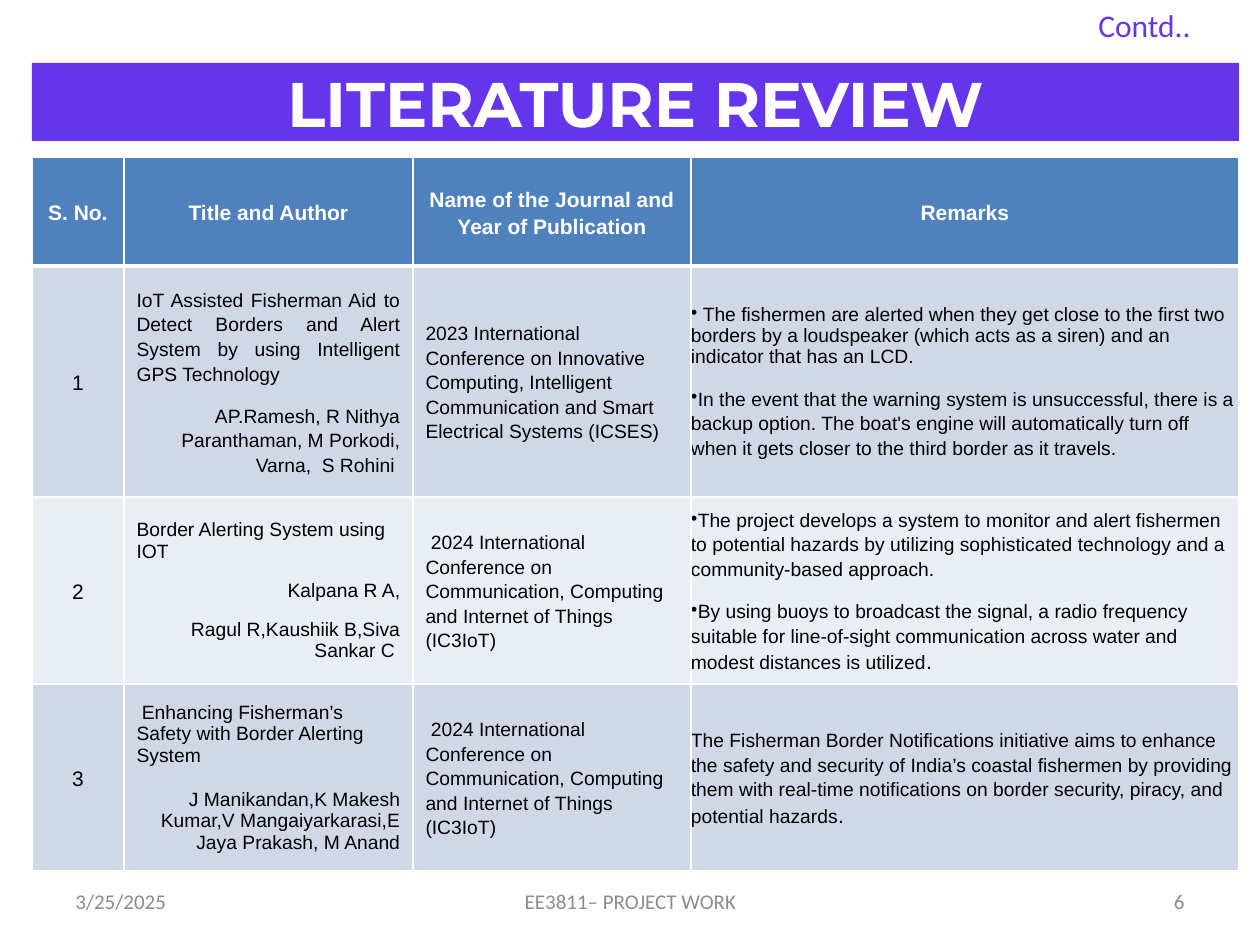
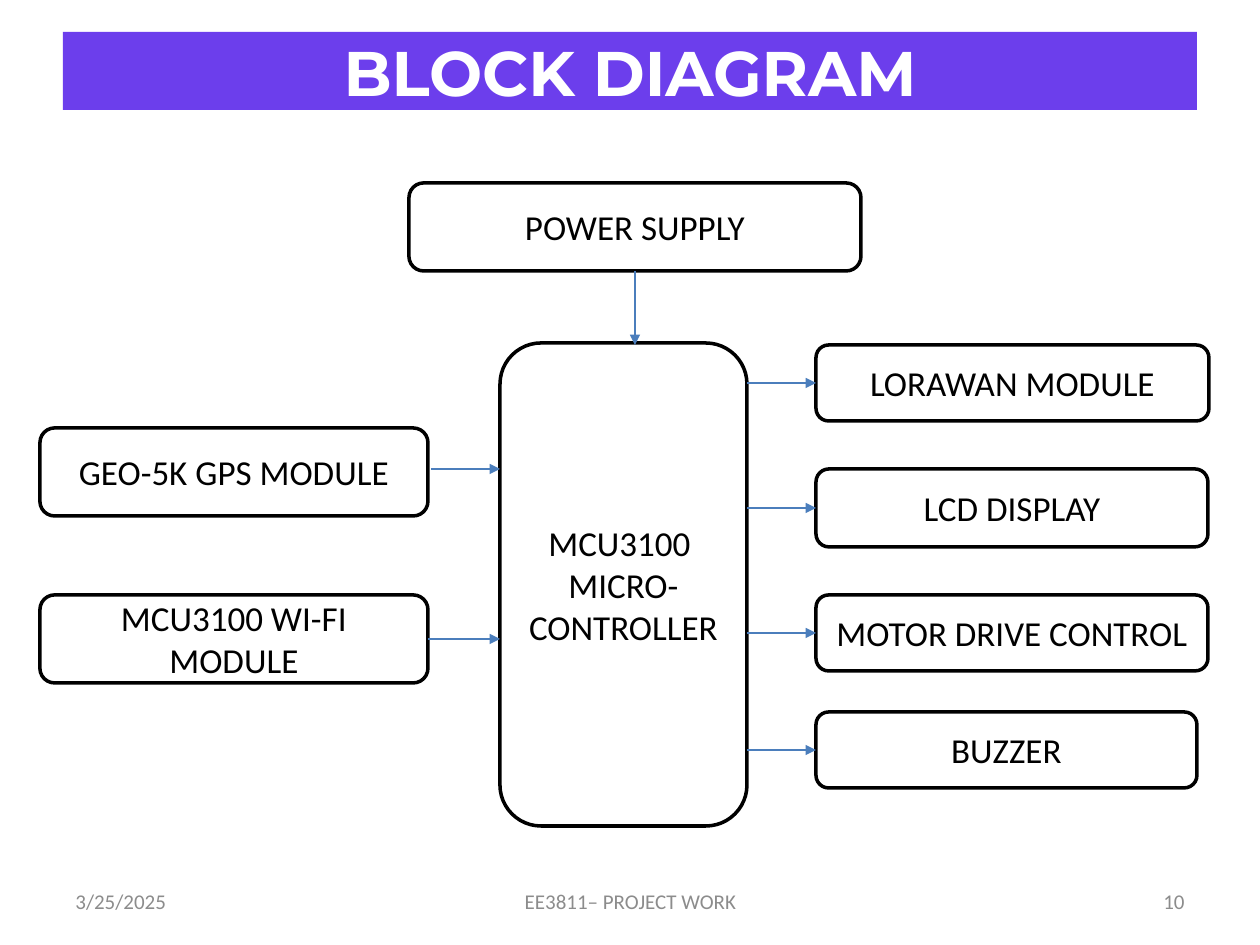
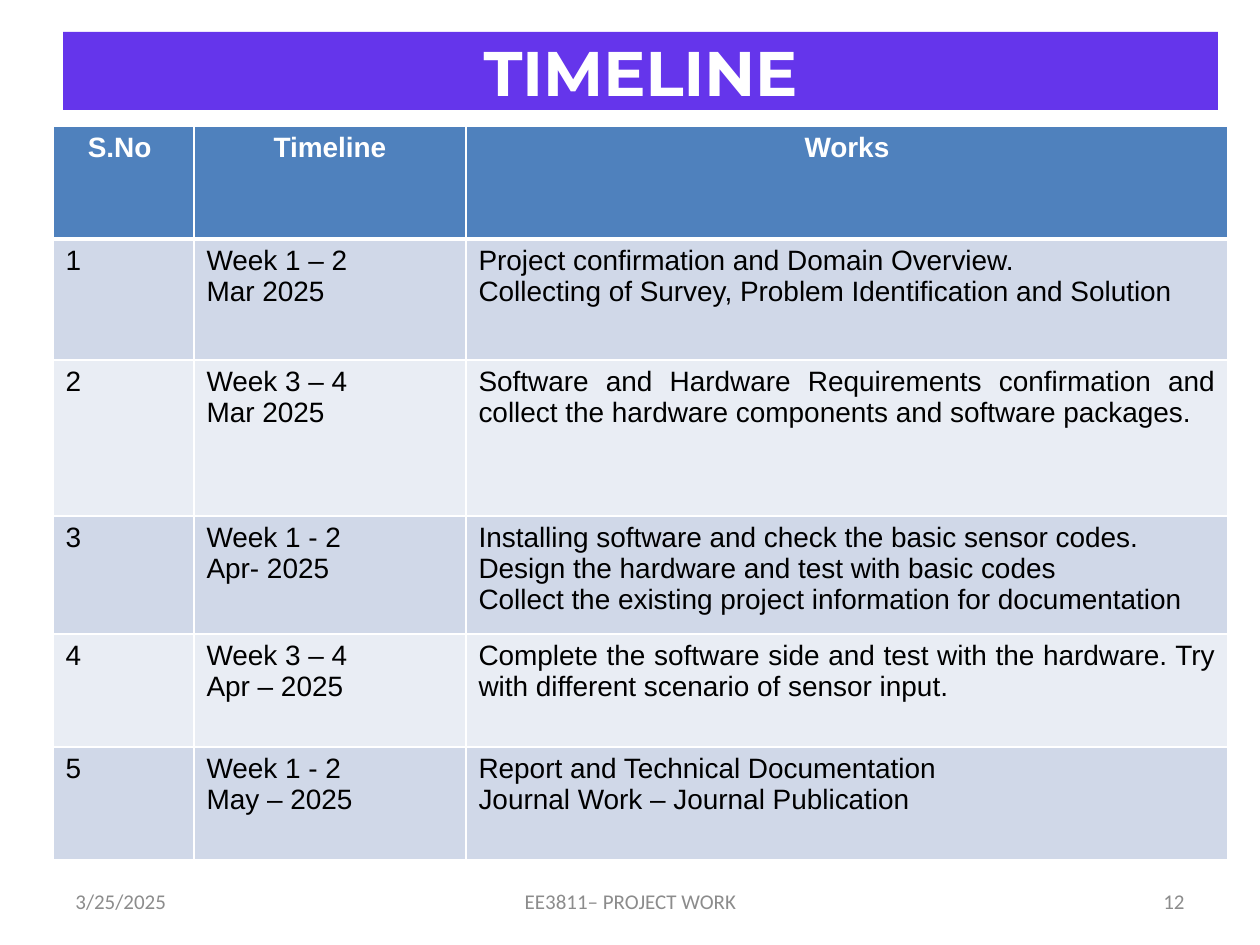
from pptx import Presentation
from pptx.dml.color import RGBColor
from pptx.enum.shapes import MSO_CONNECTOR, MSO_SHAPE
from pptx.enum.text import MSO_ANCHOR, PP_ALIGN
from pptx.oxml.ns import qn
from pptx.util import Pt
from lxml import etree

PX = 914400 / 126
LEFT, CENTER = PP_ALIGN.LEFT, PP_ALIGN.CENTER
RIGHT, JUSTIFY = PP_ALIGN.RIGHT, PP_ALIGN.JUSTIFY
TOP, MIDDLE = MSO_ANCHOR.TOP, MSO_ANCHOR.MIDDLE
RECTANGLE, ROUNDED = MSO_SHAPE.RECTANGLE, MSO_SHAPE.ROUNDED_RECTANGLE
STRAIGHT = MSO_CONNECTOR.STRAIGHT
SIDE_LEFT, SIDE_BOTTOM, SIDE_RIGHT = 1, 2, 3

COLORS = {
    "violet": "6535EB",
    "light violet": "6C3EEC",
    "white": "FFFFFF",
    "black": "000000",
    "grey": "8C8C8C",
    "header": "4F81BD",
    "odd row": "D0D8E8",
    "even row": "E9EDF4",
    "arrow": "4B7EBC",
}

AUTHORS = {"align": RIGHT}
CLOSE = {"line_spacing": None}
BULLET = {"bullet": True}

PAPERS = [
    ["S. No.", "Title and Author", "Name of the Journal and Year of Publication", "Remarks"],
    ["1",
     [("IoT Assisted Fisherman Aid to Detect Borders and Alert System by using "
       "Intelligent GPS Technology", {"align": JUSTIFY}),
      ("AP.Ramesh, R Nithya Paranthaman, M Porkodi, Varna,  S Rohini ", AUTHORS)],
     "2023 International Conference on Innovative Computing, Intelligent Communication "
     "and Smart Electrical Systems (ICSES)",
     [(" The fishermen are alerted when they get close to the first two borders by a "
       "loudspeaker (which acts as a siren) and an indicator that has an LCD.",
       BULLET | CLOSE),
      ("In the event that the warning system is unsuccessful, there is a backup option. "
       "The boat's engine will automatically turn off when it gets closer to the third "
       "border as it travels.", BULLET)]],
    ["2",
     [("Border Alerting System using IOT", CLOSE),
      ("Kalpana R A,", AUTHORS | CLOSE),
      ("Ragul R,Kaushiik B,Siva Sankar C ", AUTHORS | CLOSE)],
     " 2024 International Conference on Communication, Computing and Internet of Things "
     "(IC3IoT)",
     [("The project develops a system to monitor and alert fishermen to potential hazards "
       "by utilizing sophisticated technology and a community-based approach.", BULLET),
      ([("By using buoys to broadcast the signal, a radio frequency suitable for "
         "line-of-sight communication across water and modest distances is utilized", 11),
        (". ", 12)], BULLET)]],
    ["3",
     [(" Enhancing Fisherman’s Safety with Border Alerting System",
       CLOSE | {"space_after": 13}),
      ("J Manikandan,K Makesh Kumar,V Mangaiyarkarasi,E Jaya Prakash, M Anand",
       AUTHORS | CLOSE | {"space_after": 0})],
     " 2024 International Conference on Communication, Computing and Internet of Things "
     "(IC3IoT)",
     [([("The Fisherman Border Notifications initiative aims to enhance the safety and "
         "security of India’s coastal fishermen by providing them with real-time "
         "notifications on border security, piracy, and potential hazards", 11),
        (".", 12)], {})]],
]

SCHEDULE = [
    ["S.No ", "Timeline", "Works"],
    ["1", ["Week 1 – 2 ", "Mar 2025"],
     ["Project confirmation and Domain Overview. ",
      "Collecting of Survey, Problem Identification and Solution"]],
    ["2", ["Week 3 – 4 ", "Mar 2025"],
     "Software and Hardware Requirements confirmation and collect the hardware components "
     "and software packages."],
    ["3", ["Week 1 - 2", "Apr- 2025"],
     ["Installing software and check the basic sensor codes.",
      "Design the hardware and test with basic codes",
      "Collect the existing project information for documentation"]],
    ["4", ["Week 3 – 4 ", "Apr – 2025"],
     "Complete the software side and test with the hardware. Try with different scenario "
     "of sensor input."],
    ["5", ["Week 1 - 2", "May – 2025"],
     ["Report and Technical Documentation", "Journal Work – Journal Publication"]],
]


def emu(*lengths):
    return [round(length * PX) for length in lengths]


def color(name):
    return RGBColor.from_string(COLORS[name])


def write(frame, content, **style):
    """Fill a frame with one text or a list of texts or (text, format changes) pairs."""
    items = content if isinstance(content, list) else [content]
    for index, item in enumerate(items):
        text, changes = item if isinstance(item, tuple) else (item, {})
        para = frame.paragraphs[0] if index == 0 else frame.add_paragraph()
        format_paragraph(para, text, **(style | changes))


def format_paragraph(para, text, size=12, font="Calibri", ink="black", bold=False,
                     align=LEFT, line_spacing=None, space_after=0, bullet=False):
    para.alignment = align
    para.space_after = Pt(space_after)
    if line_spacing:
        para.line_spacing = line_spacing
    if bullet:
        properties = para._p.get_or_add_pPr()
        properties.set("marL", "0")
        properties.set("indent", "0")
        etree.SubElement(properties, qn("a:buChar"), char="•")
    for words, points in text if isinstance(text, list) else [(text, size)]:
        span = para.add_run()
        span.text = words
        span.font.name = font
        span.font.size = Pt(points)
        span.font.bold = bold
        span.font.color.rgb = color(ink)


def add_label(page, place, text, anchor=MIDDLE, **style):
    frame = page.shapes.add_textbox(*emu(*place)).text_frame
    frame.word_wrap = True
    frame.vertical_anchor = anchor
    write(frame, text, **style)


def add_box(page, place, text, kind=ROUNDED, fill="white", outline="black", **style):
    box = page.shapes.add_shape(kind, *emu(*place))
    box.shadow.inherit = False
    box.fill.solid()
    box.fill.fore_color.rgb = color(fill)
    if outline:
        box.line.color.rgb = color(outline)
        box.line.width = Pt(2)
    else:
        box.line.fill.background()
    box.text_frame.word_wrap = True
    box.text_frame.vertical_anchor = MIDDLE
    write(box.text_frame, text, **({"size": 20, "align": CENTER} | style))
    return box


def add_title(page, place, text, fill="violet"):
    add_box(page, place, text, kind=RECTANGLE, fill=fill, outline=None,
            size=36, font="Montserrat", ink="white", bold=True)


def add_footer(page, number):
    for left, width, text, align in [
        (63, 294, "3/25/2025", LEFT),
        (431, 399, "EE3811– PROJECT WORK", CENTER),
        (903, 294, str(number), RIGHT),
    ]:
        add_label(page, (left, 876, width, 50), text, ink="grey", align=align)


def add_arrow(page, start, end, source=None, target=None):
    """Draw an arrow; source and target are optional (box, side) joints."""
    arrow = page.shapes.add_connector(STRAIGHT, *emu(*start, *end))
    if source:
        arrow.begin_connect(*source)
    if target:
        arrow.end_connect(*target)
    arrow.line.color.rgb = color("arrow")
    arrow.line.width = Pt(0.75)
    etree.SubElement(arrow.line._get_or_add_ln(), qn("a:tailEnd"), type="triangle")
    etree.SubElement(arrow._element.spPr, qn("a:effectLst"))


def set_borders(cell, **widths):
    properties = cell._tc.get_or_add_tcPr()
    for side in "LRTB":
        width = Pt(widths.get(side, 1))
        line = etree.SubElement(properties, qn(f"a:ln{side}"), w=str(width))
        solid = etree.SubElement(line, qn("a:solidFill"))
        etree.SubElement(solid, qn("a:srgbClr"), val=COLORS["white"])


def add_grid(page, corner, widths, heights, rows, style, header_style,
             column_styles=None, anchor=TOP, flush_column=None):
    """Add a banded table; flush_column is the index of a column without cell margins."""
    place = emu(*corner, sum(widths), sum(heights))
    table = page.shapes.add_table(len(rows), len(widths), *place).table
    table.horz_banding = False
    for column, width in zip(table.columns, emu(*widths)):
        column.width = width
    for row, height in zip(table.rows, emu(*heights)):
        row.height = height
    for r, texts in enumerate(rows):
        fill = "header" if r == 0 else "odd row" if r % 2 else "even row"
        for c, text in enumerate(texts):
            cell = table.cell(r, c)
            set_borders(cell, T=3 if r == 1 else 1, B=3 if r == 0 else 1)
            cell.fill.solid()
            cell.fill.fore_color.rgb = color(fill)
            cell.vertical_anchor = anchor
            if c == flush_column:
                cell.margin_left = cell.margin_right = 0
                cell.margin_top = cell.margin_bottom = 0
            changes = header_style if r == 0 else (column_styles or {}).get(c, {})
            write(cell.text_frame, text, **(style | changes))


def build_literature_review(page):
    add_title(page, (32, 63, 1207, 78), "LITERATURE REVIEW")
    centered = {"size": 12, "align": CENTER}
    add_grid(page, (32, 157), [92, 289, 278, 548], [109, 231, 187, 187], PAPERS,
             style={"size": 11, "font": "Arial", "line_spacing": 1.15, "space_after": 10},
             header_style=centered | {"ink": "white", "bold": True},
             column_styles={0: centered}, anchor=MIDDLE, flush_column=3)
    add_footer(page, 6)
    add_label(page, (1086, 0, 174, 50), "Contd..", anchor=TOP, size=18, ink="violet")


def build_block_diagram(page):
    add_footer(page, 10)
    add_title(page, (63, 32, 1134, 78), "BLOCK DIAGRAM", fill="light violet")
    add_box(page, (500, 343, 247, 483), ["MCU3100 ", "MICRO-", "CONTROLLER"])
    power = add_box(page, (409, 183, 452, 88), "POWER SUPPLY")
    add_box(page, (40, 428, 388, 88), "GEO-5K GPS MODULE")
    wifi = add_box(page, (40, 595, 388, 88), "MCU3100 WI-FI MODULE")
    add_arrow(page, (635, 271), (635, 345), source=(power, SIDE_BOTTOM))
    add_arrow(page, (431, 469), (500, 469))
    add_arrow(page, (428, 639), (500, 639), source=(wifi, SIDE_RIGHT))
    for top, width, height, text in [
        (345, 393, 76, "LORAWAN MODULE"),
        (469, 392, 78, "LCD DISPLAY"),
        (595, 392, 76, "MOTOR DRIVE CONTROL"),
        (712, 381, 76, "BUZZER"),
    ]:
        output = add_box(page, (816, top, width, height), text)
        middle = top + height // 2
        add_arrow(page, (747, middle), (816, middle), target=(output, SIDE_LEFT))


def build_timeline(page):
    add_title(page, (63, 32, 1155, 78), "TIMELINE")
    add_footer(page, 12)
    add_grid(page, (53, 126), [141, 272, 762], [113, 121, 156, 118, 113, 113], SCHEDULE,
             style={"size": 16, "font": "Arial", "align": JUSTIFY},
             header_style={"align": CENTER, "ink": "white", "bold": True})


def main():
    deck = Presentation()
    deck.slide_width, deck.slide_height = emu(1260, 945)
    blank = deck.slide_layouts[6]
    for build in (build_literature_review, build_block_diagram, build_timeline):
        build(deck.slides.add_slide(blank))
    deck.save("out.pptx")


if __name__ == "__main__":
    main()
